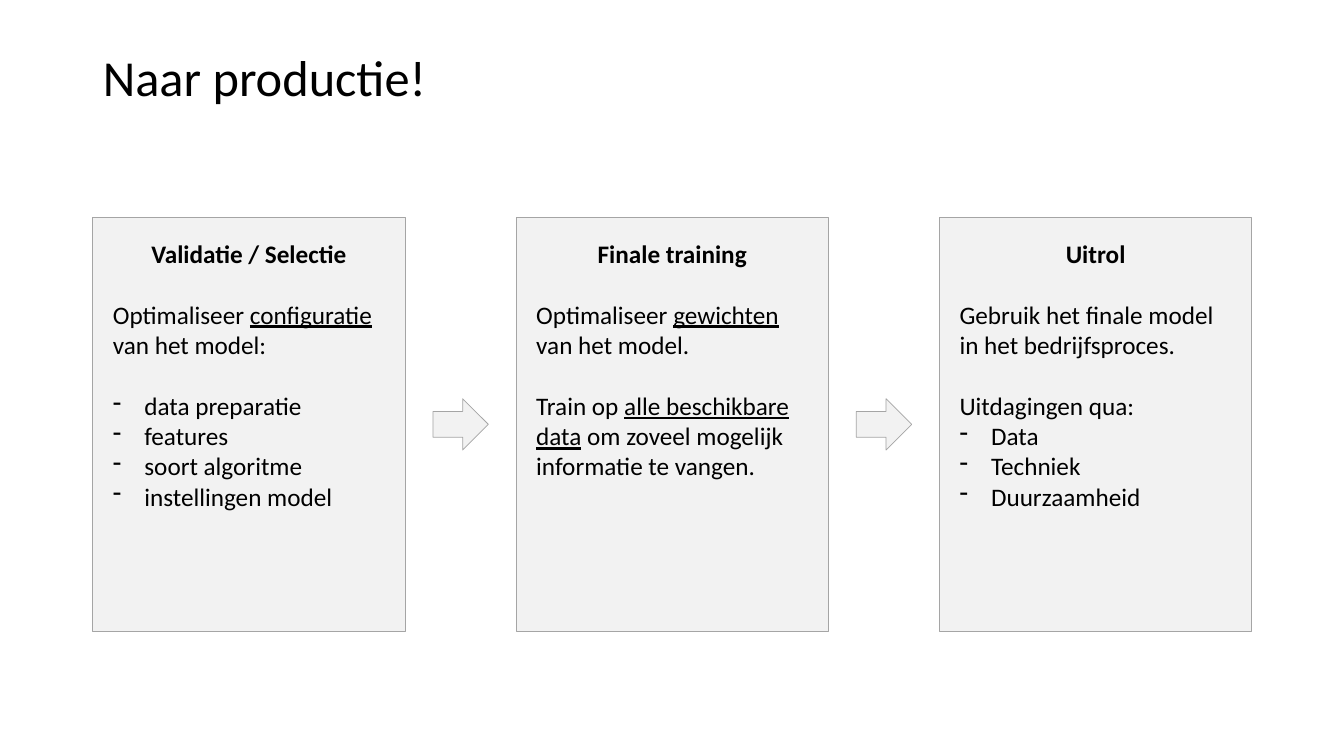
from dataclasses import dataclass

import lxml.etree
import pptx
import pptx.dml.color
import pptx.enum.shapes
import pptx.enum.text
import pptx.oxml.ns
import pptx.shapes.autoshape
import pptx.slide
import pptx.text.text
import pptx.util

Pt = pptx.util.Pt
RGBColor = pptx.dml.color.RGBColor
Shape = pptx.enum.shapes.MSO_SHAPE
Align = pptx.enum.text.PP_ALIGN
Anchor = pptx.enum.text.MSO_ANCHOR

BLACK = RGBColor(0x00, 0x00, 0x00)
PALE_GREY = RGBColor(0xF2, 0xF2, 0xF2)
MID_GREY = RGBColor(0xA5, 0xA5, 0xA5)

FONT = "Calibri"
TITLE_SIZE = 36
TEXT_SIZE = 18
BLOCK_GAP = 22
BULLET_INDENT = 22.5
CARD_INSET = 14.4

CARD_LEFT, CARD_TOP = 66.24, 155.52
CARD_WIDTH, CARD_HEIGHT = 223.2, 295.2
CARD_GAP = 79.2
ARROW_WIDTH, ARROW_HEIGHT = 39.6, 36.72


@dataclass(frozen=True)
class Span:
    text: str
    bold: bool = False
    underline: bool = False


@dataclass(frozen=True)
class Line:
    spans: tuple[Span, ...]
    gap: bool = False
    bullet: bool = False


@dataclass(frozen=True)
class Card:
    heading: str
    lines: tuple[Line, ...]


def bullets(*texts: str, gap: bool = False) -> tuple[Line, ...]:
    """Make bullet lines; gap separates the first from the text above."""
    return tuple(
        Line((Span(text),), gap=gap and index == 0, bullet=True)
        for index, text in enumerate(texts)
    )


CARDS = (
    Card("Validatie / Selectie", (
        Line((Span("Optimaliseer "), Span("configuratie", underline=True),
              Span(" van het model:")), gap=True),
        *bullets("data preparatie", "features", "soort algoritme",
                 "instellingen model", gap=True),
    )),
    Card("Finale training", (
        Line((Span("Optimaliseer "), Span("gewichten", underline=True),
              Span(" van het model.")), gap=True),
        Line((Span("Train op "), Span("alle beschikbare data", underline=True),
              Span(" om zoveel mogelijk informatie te vangen.")), gap=True),
    )),
    Card("Uitrol", (
        Line((Span("Gebruik het finale model in het bedrijfsproces."),), gap=True),
        Line((Span("Uitdagingen qua:"),), gap=True),
        *bullets("Data", "Techniek", "Duurzaamheid"),
    )),
)


def add_span(para: pptx.text.text._Paragraph, span: Span, size: float) -> None:
    run = para.add_run()
    run.text = span.text
    run.font.name = FONT
    run.font.size = Pt(size)
    run.font.bold = span.bold
    run.font.underline = span.underline
    run.font.color.rgb = BLACK


def add_dash(para: pptx.text.text._Paragraph) -> None:
    properties = para._p.get_or_add_pPr()
    properties.set("marL", str(Pt(BULLET_INDENT)))
    properties.set("indent", str(-Pt(BULLET_INDENT)))
    lxml.etree.SubElement(
        properties, pptx.oxml.ns.qn("a:buChar")).set("char", "-")


def add_grey_shape(page: pptx.slide.Slide, kind: Shape, left: float, top: float,
                   width: float, height: float) -> pptx.shapes.autoshape.Shape:
    shape = page.shapes.add_shape(kind, Pt(left), Pt(top), Pt(width), Pt(height))
    shape.shadow.inherit = False
    shape.fill.solid()
    shape.fill.fore_color.rgb = PALE_GREY
    shape.line.color.rgb = MID_GREY
    shape.line.width = Pt(0.5)
    return shape


def add_card(page: pptx.slide.Slide, card: Card, left: float) -> None:
    box = add_grey_shape(page, Shape.RECTANGLE, left, CARD_TOP,
                         CARD_WIDTH, CARD_HEIGHT)
    frame = box.text_frame
    frame.word_wrap = True
    frame.vertical_anchor = Anchor.TOP
    frame.margin_left = frame.margin_right = Pt(CARD_INSET)
    frame.margin_top = frame.margin_bottom = Pt(CARD_INSET)

    heading = frame.paragraphs[0]
    heading.alignment = Align.CENTER
    add_span(heading, Span(card.heading, bold=True), TEXT_SIZE)

    for line in card.lines:
        para = frame.add_paragraph()
        para.alignment = Align.LEFT
        if line.gap:
            para.space_before = Pt(BLOCK_GAP)
        if line.bullet:
            add_dash(para)
        for span in line.spans:
            add_span(para, span, TEXT_SIZE)


def add_title(page: pptx.slide.Slide, text: str) -> None:
    title = page.shapes.title
    title.left, title.top = Pt(CARD_LEFT), Pt(28.8)
    title.width, title.height = Pt(828), Pt(56.88)
    frame = title.text_frame
    frame.word_wrap = True
    frame.auto_size = pptx.enum.text.MSO_AUTO_SIZE.NONE
    frame.vertical_anchor = Anchor.MIDDLE
    para = frame.paragraphs[0]
    para.alignment = Align.LEFT
    para.line_spacing = 0.9
    add_span(para, Span(text), TITLE_SIZE)


def main() -> None:
    deck = pptx.Presentation()
    deck.slide_width, deck.slide_height = Pt(960), Pt(540)
    page = deck.slides.add_slide(deck.slide_layouts.get_by_name("Title Only"))
    add_title(page, "Naar productie!")

    lefts = [CARD_LEFT + index * (CARD_WIDTH + CARD_GAP)
             for index in range(len(CARDS))]
    for card, left in zip(CARDS, lefts):
        add_card(page, card, left)

    arrow_top = CARD_TOP + (CARD_HEIGHT - ARROW_HEIGHT) / 2
    for left in lefts[1:]:
        add_grey_shape(page, Shape.RIGHT_ARROW,
                       left - (CARD_GAP + ARROW_WIDTH) / 2, arrow_top,
                       ARROW_WIDTH, ARROW_HEIGHT)

    deck.save("out.pptx")


if __name__ == "__main__":
    main()
